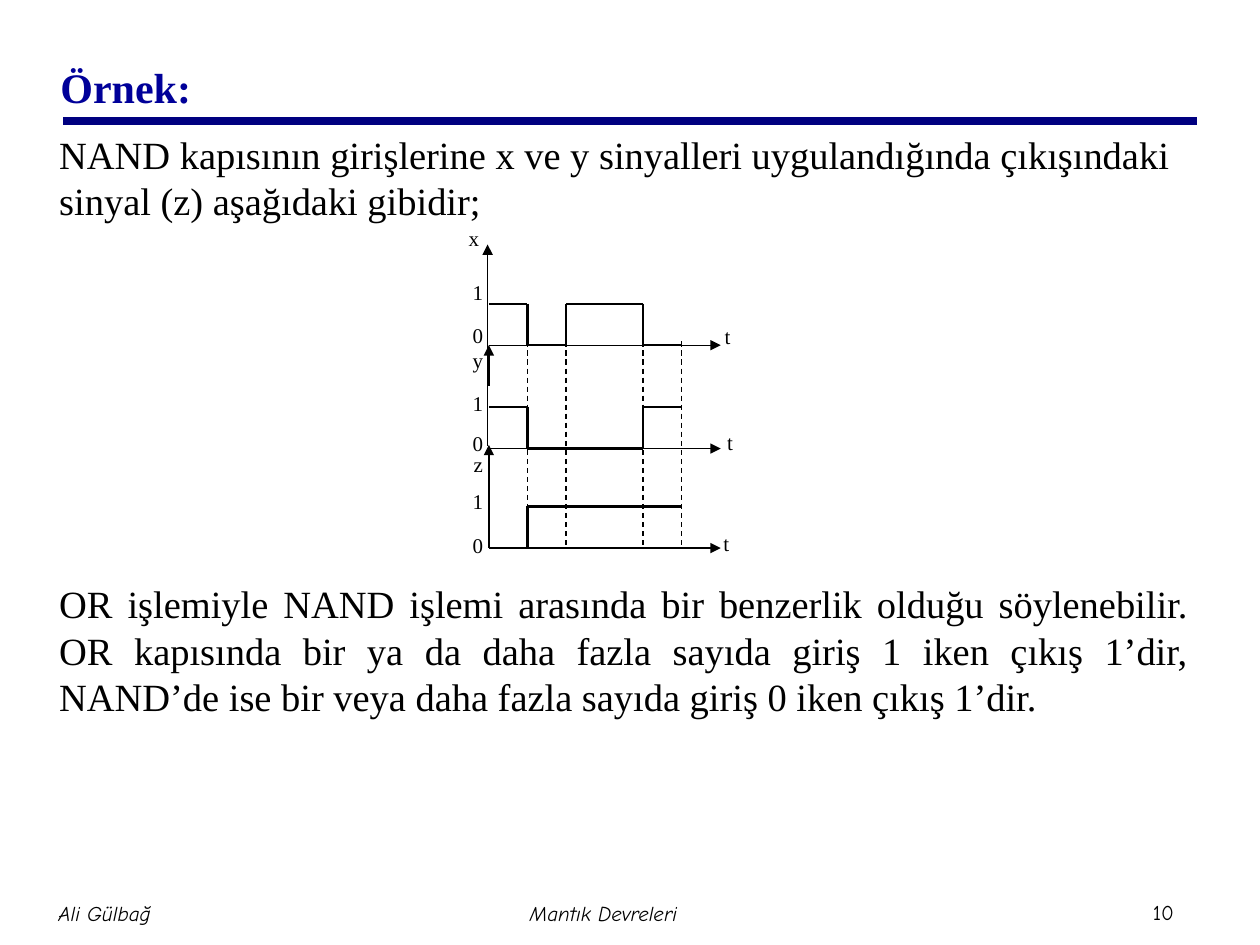
from dataclasses import dataclass
from itertools import groupby

from lxml.etree import SubElement
from pptx import Presentation
from pptx.dml.color import RGBColor
from pptx.enum.dml import MSO_LINE_DASH_STYLE as Dash
from pptx.enum.shapes import MSO_CONNECTOR as Connector
from pptx.enum.text import MSO_ANCHOR as Anchor, MSO_AUTO_SIZE as AutoSize, PP_ALIGN as Align
from pptx.oxml.ns import qn
from pptx.util import Inches, Pt


@dataclass(frozen=True)
class Theme:
    ink: str = "000000"
    title: str = "000099"
    rule: str = "000080"
    serif: str = "Times New Roman"
    hand: str = "Comic Neue"
    title_size: float = 24
    body_size: float = 22
    small_size: float = 12
    thin: float = 0.75
    signal: float = 1.25
    heavy: float = 4.5


@dataclass(frozen=True)
class Signal:
    name: str
    levels: tuple  # one value per time step
    zero_y: float
    axis: tuple  # x, bottom and top of the vertical axis
    name_at: tuple
    one_top: float
    zero_top: float
    t_at: tuple


THEME = Theme()
ORIGIN, STEP, AXIS_END = 3.88, 0.306, 5.72
HIGH = 0.33
SIGNALS = (
    Signal("x", (1, 0, 1, 1, 0), 2.74, (3.87, 3.54, 1.94), (3.72, 1.79), 2.22, 2.56, (5.75, 2.57)),
    Signal("y", (1, 0, 0, 0, 1), 3.56, (3.88, 3.06, 2.74), (3.75, 2.76), 3.1, 3.42, (5.77, 3.41)),
    Signal("z", (0, 1, 1, 1, 1), 4.35, (3.88, 4.35, 3.53), (3.76, 3.58), 3.88, 4.23, (5.74, 4.21)),
)
INTRO = ("NAND kapısının girişlerine x ve y sinyalleri uygulandığında çıkışındaki "
         "sinyal (z) aşağıdaki gibidir;")
REMARK = ("OR işlemiyle NAND işlemi arasında bir benzerlik olduğu söylenebilir. "
          "OR kapısında bir ya da daha fazla sayıda giriş 1 iken çıkış 1’dir, "
          "NAND’de ise bir veya daha fazla sayıda giriş 0 iken çıkış 1’dir.")


def write(p, text, size=THEME.small_size, font=THEME.serif, color=THEME.ink,
          bold=False, italic=False, align=Align.LEFT, before=0):
    p.alignment = align
    p.space_before = Pt(before)
    r = p.add_run()
    r.text = text
    r.font.size, r.font.name = Pt(size), font
    r.font.bold, r.font.italic = bold, italic
    r.font.color.rgb = RGBColor.from_string(color)


def place(sp, left, top, width, height):
    sp.left, sp.top, sp.width, sp.height = map(Inches, (left, top, width, height))


def add_text(shapes, text, box, inset=0, anchor=Anchor.TOP, **fmt):
    tf = shapes.add_textbox(*map(Inches, box)).text_frame
    tf.word_wrap = True
    tf.vertical_anchor = anchor
    tf.margin_left = tf.margin_top = tf.margin_right = tf.margin_bottom = Inches(inset)
    write(tf.paragraphs[0], text, **fmt)


def add_line(shapes, start, end, width=THEME.thin, color=THEME.ink, dashed=False, arrow=False):
    sp = shapes.add_connector(Connector.STRAIGHT, *map(Inches, (*start, *end)))
    sp.line.width = Pt(width)
    sp.line.color.rgb = RGBColor.from_string(color)
    if dashed:
        sp.line.dash_style = Dash.DASH
    if arrow:
        SubElement(sp.line._get_or_add_ln(), qn("a:tailEnd"), type="triangle")
    SubElement(sp._element.spPr, qn("a:effectLst"))


def add_title(s):
    sp = s.shapes.title
    place(sp, 0.38, 0.26, 8.5, 0.86)
    sp.text_frame.vertical_anchor = Anchor.MIDDLE
    write(sp.text_frame.paragraphs[0], "Örnek:", size=THEME.title_size,
          color=THEME.title, bold=True)


def add_body(s):
    sp = s.placeholders[1]
    place(sp, 0.37, 0.95, 9.16, 5.55)
    tf = sp.text_frame
    tf.auto_size = AutoSize.NONE
    tf.margin_top = Inches(0.09)
    paragraphs = ((INTRO, Align.LEFT, 0), (REMARK, Align.JUSTIFY, 204))
    for i, (text, align, before) in enumerate(paragraphs):
        p = tf.add_paragraph() if i else tf.paragraphs[0]
        pPr = p._p.get_or_add_pPr()
        pPr.set("marL", "0")
        pPr.set("indent", "0")
        SubElement(pPr, qn("a:buNone"))
        write(p, text, size=THEME.body_size, align=align, before=before)


def add_waveform(shapes, signal):
    """Draw one level line per run of equal values, joined by vertical edges."""
    step, last_y = 0, None
    for level, run in groupby(signal.levels):
        x = ORIGIN + step * STEP
        step += len(list(run))
        y = signal.zero_y - level * HIGH
        if last_y is not None:
            add_line(shapes, (x, last_y), (x, y), THEME.signal)
        add_line(shapes, (x, y), (ORIGIN + step * STEP, y), THEME.signal)
        last_y = y


def add_signal(shapes, signal):
    x, bottom, top = signal.axis
    add_line(shapes, (x, bottom), (x, top), arrow=True)
    add_line(shapes, (ORIGIN, signal.zero_y), (AXIS_END, signal.zero_y), arrow=True)
    add_waveform(shapes, signal)
    labels = ((signal.name, signal.name_at), ("1", (3.75, signal.one_top)),
              ("0", (3.75, signal.zero_top)), ("t", signal.t_at))
    for text, at in labels:
        add_text(shapes, text, (*at, 0.15, 0.33))


def add_timing_diagram(s):
    shapes = s.shapes.add_group_shape().shapes
    for step in (1, 2, 4, 5):
        x = ORIGIN + step * STEP
        add_line(shapes, (x, 2.71), (x, 4.35), dashed=True)
    for signal in SIGNALS:
        add_signal(shapes, signal)


def add_footer(s):
    footers = (("Ali Gülbağ", (-0.96, 7, 3.58, 0.5), True, Align.CENTER),
               ("Mantık Devreleri", (3.0, 7, 3.58, 0.5), True, Align.CENTER),
               ("10", (9.1, 7.09, 0.47, 0.3), False, Align.LEFT))
    for text, box, italic, align in footers:
        add_text(s.shapes, text, box, inset=0.05, anchor=Anchor.MIDDLE,
                 font=THEME.hand, italic=italic, align=align)


def main():
    prs = Presentation()
    prs.slide_width, prs.slide_height = Inches(10), Inches(7.5)
    s = prs.slides.add_slide(prs.slide_layouts[1])
    add_line(s.shapes, (0.5, 0.96), (9.5, 0.96), THEME.heavy, THEME.rule)
    add_title(s)
    add_body(s)
    add_timing_diagram(s)
    add_footer(s)
    prs.save("out.pptx")


if __name__ == "__main__":
    main()
